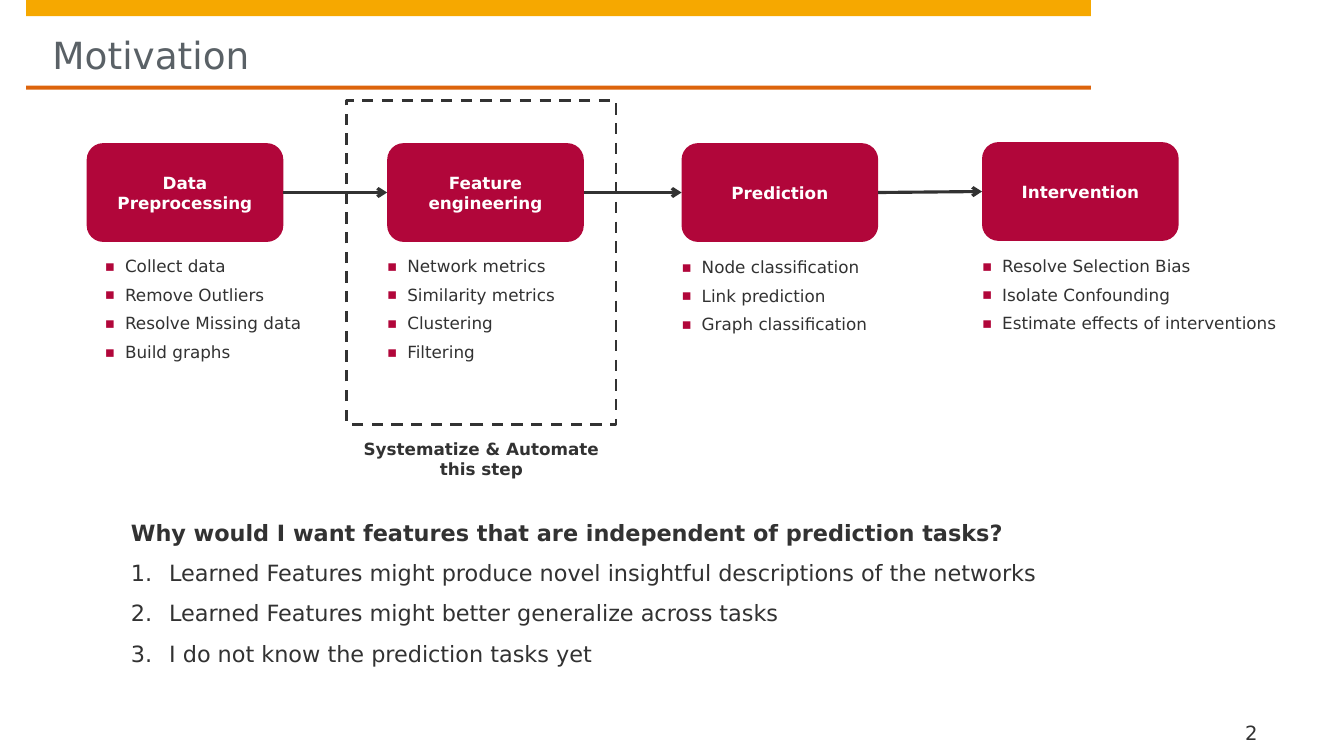
from collections import namedtuple

from lxml.etree import SubElement
from pptx import Presentation
from pptx.dml.color import RGBColor
from pptx.enum.dml import MSO_LINE
from pptx.enum.shapes import MSO_CONNECTOR, MSO_SHAPE
from pptx.enum.text import MSO_ANCHOR, PP_ALIGN
from pptx.oxml.ns import qn
from pptx.util import Emu, Pt

PX = 9144  # one hundredth of an inch
FONT = "DejaVu Sans"
INK, CRIMSON, WHITE, GREY = "323232", "B1063A", "FFFFFF", "5A6166"
AMBER, ORANGE = "F6A800", "DD640C"

Box = namedtuple("Box", "left top width height")
Stage = namedtuple("Stage", "name box list_box points")

STAGES = [
    Stage("Data Preprocessing", Box(86, 142, 195, 98), Box(104, 254, 195, 121),
          ["Collect data", "Remove Outliers", "Resolve Missing data", "Build graphs"]),
    Stage("Feature engineering", Box(384, 142, 195, 98), Box(384, 254, 195, 116),
          ["Network metrics", "Similarity metrics", "Clustering", "Filtering"]),
    Stage("Prediction", Box(676, 142, 195, 98), Box(676, 255, 195, 89),
          ["Node classification", "Link prediction", "Graph classification"]),
    Stage("Intervention", Box(974, 141, 195, 98), Box(974, 254, 313, 89),
          ["Resolve Selection Bias", "Isolate Confounding",
           "Estimate effects of interventions"]),
]
QUESTION = "Why would I want features that are independent of prediction tasks?"
REASONS = [
    "Learned Features might produce novel insightful descriptions of the networks",
    "Learned Features might better generalize across tasks",
    "I do not know the prediction tasks yet",
]
SPACED = {"space_before": Pt(3), "space_after": Pt(3)}
CENTRED = {**SPACED, "alignment": PP_ALIGN.CENTER}


def px(length):
    return Emu(length * PX)


def emu(box):
    return [px(length) for length in box]


def color(value):
    return RGBColor.from_string(value)


def set_all(target, values):
    for name, value in values.items():
        setattr(target, name, value)


def set_frame(frame, margins, anchor=MSO_ANCHOR.TOP):
    """Wrap the frame; margins are left, top, right and bottom in px."""
    names = ("margin_left", "margin_top", "margin_right", "margin_bottom")
    set_all(frame, dict(zip(names, emu(margins)), word_wrap=True, vertical_anchor=anchor))


def write(frame, lines, size, ink, bold=False, para_format=None):
    """Fill the frame with one paragraph per line and return the paragraphs."""
    frame.text = "\n".join(lines)
    for para in frame.paragraphs:
        set_all(para, para_format or {})
        for span in para.runs:
            set_all(span.font, {"name": FONT, "size": Pt(size), "bold": bold})
            span.font.color.rgb = color(ink)
    return frame.paragraphs


def add_text(page, box, lines, size, margins=(0, 0, 0, 0), anchor=MSO_ANCHOR.TOP, **style):
    frame = page.shapes.add_textbox(*emu(box)).text_frame
    set_frame(frame, margins, anchor)
    return write(frame, lines, size, INK, **style)


def add_block(page, kind, box, fill):
    block = page.shapes.add_shape(kind, *emu(box))
    block.shadow.inherit = False
    block.fill.solid()
    block.fill.fore_color.rgb = color(fill)
    block.line.fill.background()
    return block


def add_marker(para, indent, tag, **attributes):
    """Give the paragraph a hanging indent and a bullet or number."""
    properties = para._p.get_or_add_pPr()
    properties.set("marL", str(px(indent)))
    properties.set("indent", str(px(-indent)))
    if tag == "a:buChar":
        bullet_color = SubElement(properties, qn("a:buClr"))
        SubElement(bullet_color, qn("a:srgbClr"), val=CRIMSON)
        SubElement(properties, qn("a:buSzPct"), val="90000")
        SubElement(properties, qn("a:buFont"), typeface=FONT)
    SubElement(properties, qn(tag), **attributes)


def add_arrow(page, source, target):
    arrow = page.shapes.add_connector(MSO_CONNECTOR.STRAIGHT, 0, 0, 0, 0)
    arrow.begin_connect(source, 3)
    arrow.end_connect(target, 1)
    arrow.line.width = Pt(2.25)
    arrow.line.color.rgb = color(INK)
    SubElement(arrow.line._get_or_add_ln(), qn("a:tailEnd"), type="arrow")
    SubElement(arrow._element.spPr, qn("a:effectLst"))


def add_header(page, box, title):
    add_block(page, MSO_SHAPE.RECTANGLE, box._replace(height=16), AMBER)
    rule = box._replace(top=box.top + box.height - 4, height=4)
    add_block(page, MSO_SHAPE.RECTANGLE, rule, ORANGE)
    heading = page.shapes.title
    names = ("left", "top", "width", "height")
    set_all(heading, dict(zip(names, emu((box.left + 26, box.top + 16, 1003, 61)))))
    set_frame(heading.text_frame, (0, 16, 0, 0))
    write(heading.text_frame, [title], 26.7, GREY, para_format={"alignment": PP_ALIGN.LEFT})


def add_stage(page, stage):
    """Draw a stage with its list and return its block."""
    block = add_block(page, MSO_SHAPE.ROUNDED_RECTANGLE, stage.box, CRIMSON)
    set_frame(block.text_frame, (12, 8, 12, 8), MSO_ANCHOR.MIDDLE)
    write(block.text_frame, [stage.name], 12, WHITE, bold=True, para_format=CENTRED)
    for para in add_text(page, stage.list_box, stage.points, 12, para_format=SPACED):
        add_marker(para, 20, "a:buChar", char="▪")
    return block


def add_highlight(page, box, caption):
    outline = page.shapes.add_shape(MSO_SHAPE.RECTANGLE, *emu(box))
    outline.shadow.inherit = False
    outline.fill.background()
    outline.line.color.rgb = color(INK)
    set_all(outline.line, {"width": Pt(2), "dash_style": MSO_LINE.DASH})
    caption_box = box._replace(top=box.top + box.height + 14, height=45)
    add_text(page, caption_box, [caption], 12, bold=True, para_format=CENTRED)


def add_reasons(page, box):
    question, *reasons = add_text(page, box, [QUESTION, *REASONS], 16, (10, 5, 10, 5))
    question.runs[0].font.bold = True
    for para in reasons:
        para.line_spacing = 1.5
        add_marker(para, 38, "a:buAutoNum", type="arabicPeriod")


def main():
    deck = Presentation()
    set_all(deck, {"slide_width": px(1333), "slide_height": px(750)})
    page = deck.slides.add_slide(deck.slide_layouts.get_by_name("Title Only"))
    add_header(page, Box(26, 0, 1056, 89), "Motivation")
    blocks = [add_stage(page, stage) for stage in STAGES]
    for source, target in zip(blocks, blocks[1:]):
        add_arrow(page, source, target)
    add_highlight(page, Box(344, 100, 267, 321), "Systematize & Automate this step")
    add_reasons(page, Box(120, 510, 1093, 153))
    add_text(page, Box(1223, 709, 84, 29), ["2"], 14, (12, 0, 0, 0), MSO_ANCHOR.BOTTOM)
    deck.save("out.pptx")


if __name__ == "__main__":
    main()
